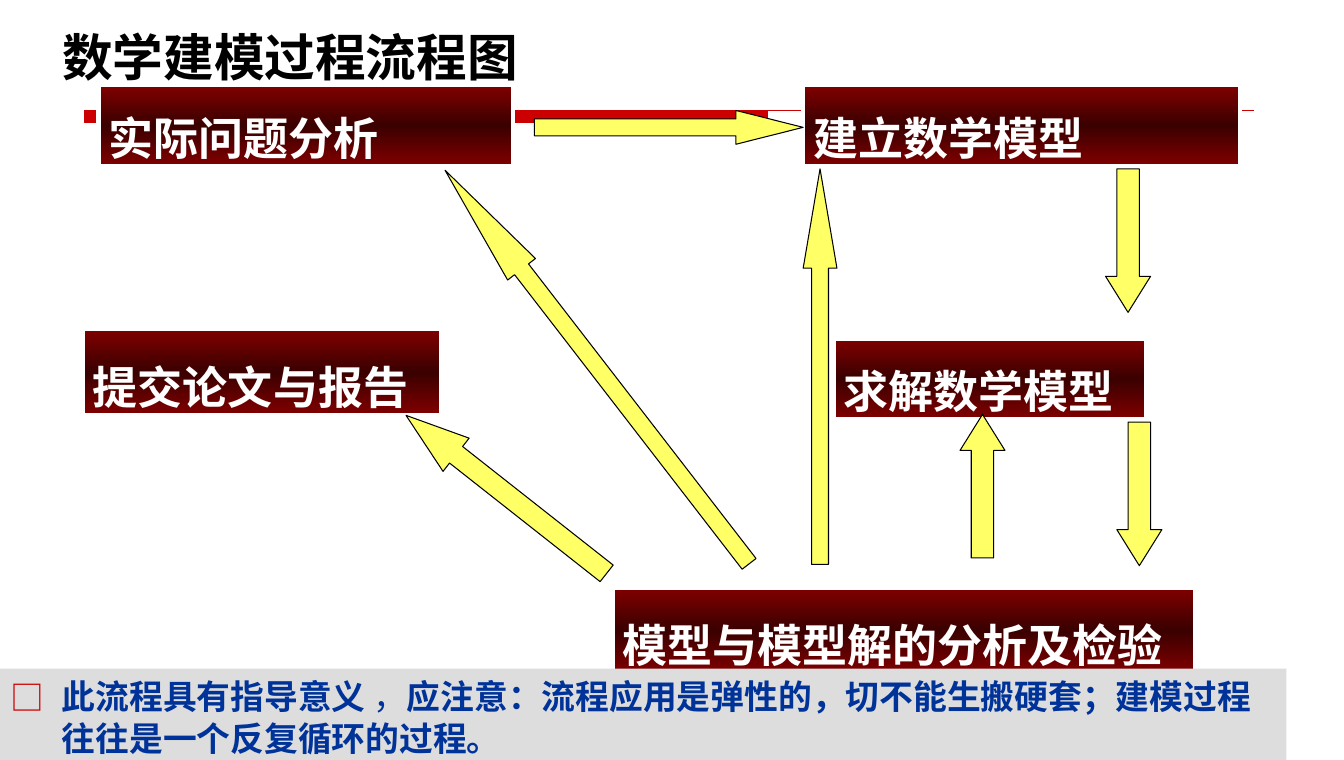
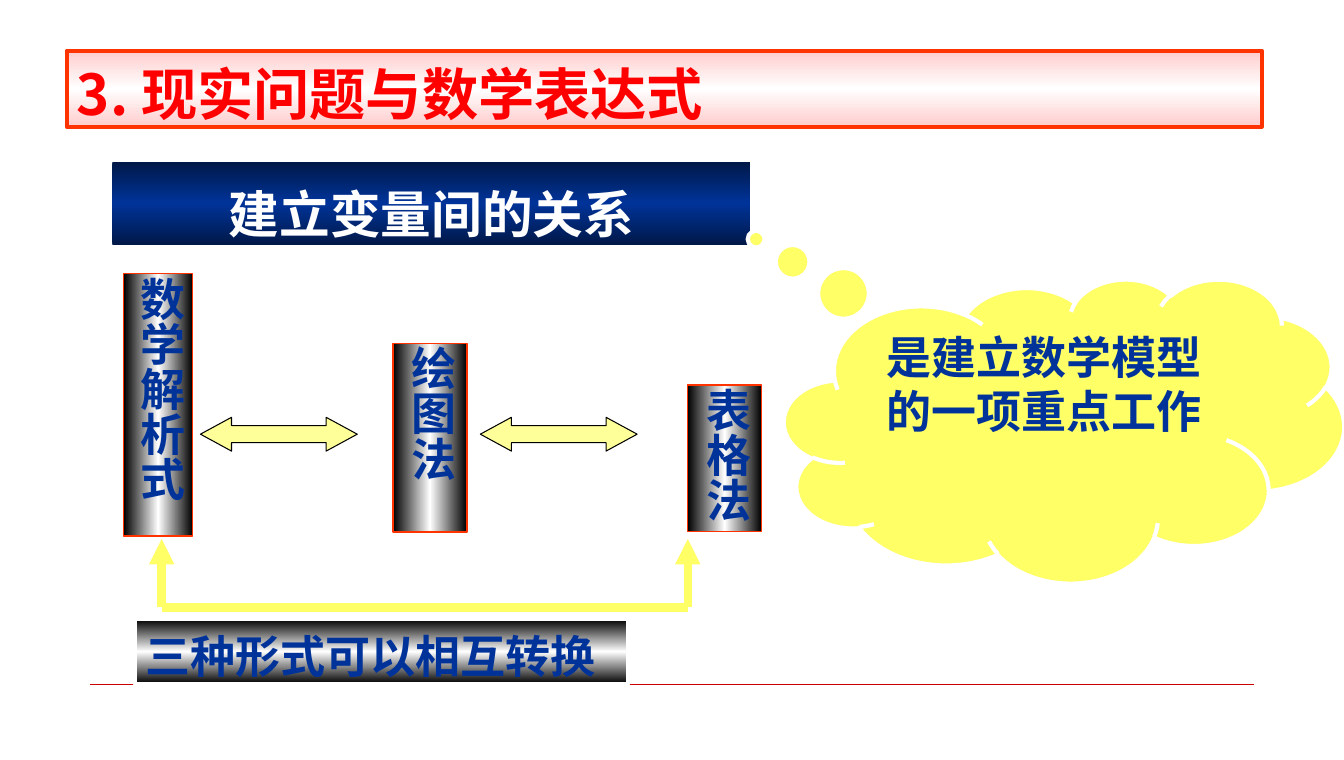
from dataclasses import dataclass
from typing import Optional

from lxml import etree
from pptx import Presentation
from pptx import util as u
from pptx.dml.color import RGBColor
from pptx.enum import shapes, text
from pptx.oxml.ns import qn

Pt = u.Pt
COLORS = {
    "rule": "CC0000", "white": "FFFFFF", "black": "000000",
    "maroon": "800000", "dark_maroon": "3B0000",
    "navy": "001847", "blue": "003399", "gray": "DDDDDD",
    "yellow": "FFFF66", "pale_yellow": "FFFF99",
    "pink": "FFCCCC", "orange": "FF3300", "red": "FF0000",
}
CJK_FONT = "Noto Sans CJK SC"
LATIN_FONT = "Times New Roman"
SHAPE = shapes.MSO_SHAPE
ALIGN = text.PP_ALIGN
ANCHOR = text.MSO_ANCHOR


@dataclass
class Panel:
    """A gradient rectangle with one line of text."""
    label: str
    left: float
    top: float
    width: float
    height: float
    edge: str
    middle: str
    ink: str
    line: Optional[str] = "white"
    line_width: float = 3
    size: float = 32
    align: ALIGN = ALIGN.LEFT
    vertical: bool = False


@dataclass
class Arrow:
    """A block arrow; head is the head length relative to its width."""
    kind: SHAPE
    left: float
    top: float
    width: float
    height: float
    head: float
    rotation: float = 0
    fill: str = "yellow"


def rgb(name: str) -> RGBColor:
    return RGBColor.from_string(COLORS[name])


def place(shape, left: float, top: float, width: float, height: float) -> None:
    shape.left, shape.top = Pt(left), Pt(top)
    shape.width, shape.height = Pt(width), Pt(height)


def set_line(shape, color: Optional[str], width: float = 0.75) -> None:
    if color is None:
        shape.line.fill.background()
    else:
        shape.line.color.rgb = rgb(color)
        shape.line.width = Pt(width)


def set_gradient(shape, edge: str, middle: str, angle: float) -> None:
    shape.fill.gradient()
    shape.fill.gradient_angle = angle
    stops = shape.element.spPr.find(".//" + qn("a:gsLst"))
    for stop in list(stops):
        stops.remove(stop)
    for position, color in ((0, edge), (50000, middle), (100000, edge)):
        stop = etree.SubElement(stops, qn("a:gs"), pos=str(position))
        etree.SubElement(stop, qn("a:srgbClr"), val=COLORS[color])


def set_font(paragraph, size: float, color: str, latin: str) -> None:
    font = paragraph.font
    font.name, font.size, font.bold = latin, Pt(size), True
    font.color.rgb = rgb(color)
    defaults = paragraph._p.pPr.find(qn("a:defRPr"))
    etree.SubElement(defaults, qn("a:ea"), typeface=CJK_FONT)


def set_frame(shape, anchor: ANCHOR, left: float = 7.2, top: float = 3.6,
              right: float = 7.2, bottom: float = 3.6):
    frame = shape.text_frame
    frame.word_wrap = True
    frame.auto_size = text.MSO_AUTO_SIZE.NONE
    frame.vertical_anchor = anchor
    frame.margin_left, frame.margin_right = Pt(left), Pt(right)
    frame.margin_top, frame.margin_bottom = Pt(top), Pt(bottom)
    return frame


def write(frame, words: str, size: float, color: str, align: ALIGN,
          latin: str = LATIN_FONT) -> None:
    frame.text = words
    paragraph = frame.paragraphs[0]
    paragraph.alignment = align
    set_font(paragraph, size, color, latin)


def add_block(slide, kind: SHAPE, left: float, top: float,
              width: float, height: float):
    shape = slide.shapes.add_shape(kind, Pt(left), Pt(top), Pt(width), Pt(height))
    shape.shadow.inherit = False
    return shape


def add_panel(slide, panel: Panel) -> None:
    shape = add_block(slide, SHAPE.RECTANGLE, panel.left, panel.top,
                      panel.width, panel.height)
    set_gradient(shape, panel.edge, panel.middle, 0 if panel.vertical else 270)
    set_line(shape, panel.line, panel.line_width)
    if panel.vertical:
        frame = set_frame(shape, ANCHOR.MIDDLE, left=4, top=2, right=0, bottom=2)
        frame._txBody.bodyPr.set("vert", "eaVert")
    else:
        frame = set_frame(shape, ANCHOR.BOTTOM, bottom=1)
    write(frame, panel.label, panel.size, panel.ink, panel.align)


def add_arrow(slide, arrow: Arrow) -> None:
    shape = add_block(slide, arrow.kind, arrow.left, arrow.top,
                      arrow.width, arrow.height)
    shape.adjustments[0], shape.adjustments[1] = 0.5, arrow.head
    shape.rotation = arrow.rotation
    shape.fill.solid()
    shape.fill.fore_color.rgb = rgb(arrow.fill)
    set_line(shape, "black")


def add_line(slide, start: tuple[float, float], end: tuple[float, float],
             color: str, width: float, arrowhead: bool = False):
    line = slide.shapes.add_connector(
        shapes.MSO_CONNECTOR.STRAIGHT, *(Pt(v) for v in start + end))
    set_line(line, color, width)
    if arrowhead:
        etree.SubElement(line.line._get_or_add_ln(), qn("a:tailEnd"), type="triangle")
    etree.SubElement(line.element.spPr, qn("a:effectLst"))
    return line


def set_title(slide, words: str, size: float, color: str,
              at: tuple[float, float, float, float], anchor: ANCHOR):
    title = slide.shapes.title
    place(title, *at)
    frame = set_frame(title, anchor, top=0, bottom=0)
    write(frame, words, size, color, ALIGN.LEFT, CJK_FONT)
    return title


def add_master_rules(prs, slide) -> None:
    """Draw the title band and the footer rule, then move them to the master."""
    left, right, top, bottom, band_end = 60, 891.5, 78.5, 87, 546
    outline = slide.shapes.build_freeform(Pt(left), Pt(top))
    outline.add_line_segments([(Pt(x), Pt(y)) for x, y in (
        (band_end, top), (band_end, bottom), (left, bottom))], close=True)
    outline.move_to(Pt(left), Pt(top))
    outline.add_line_segments([(Pt(right), Pt(top))], close=False)
    band = outline.convert_to_shape()
    band.shadow.inherit = False
    band.fill.solid()
    band.fill.fore_color.rgb = rgb("rule")
    set_line(band, "rule")
    footer = add_line(slide, (64, 486), (right, 486), "rule", 0.25)
    for position, part in enumerate((band, footer), start=2):
        prs.slide_master.shapes.element.insert(position, part.element)


def fill_note(slide) -> None:
    note = slide.placeholders[1]
    place(note, 0, 475, 914.5, 65)
    note.fill.solid()
    note.fill.fore_color.rgb = rgb("gray")
    paragraph = set_frame(note, ANCHOR.TOP).paragraphs[0]
    paragraph.space_before = Pt(0)
    paragraph.line_spacing = Pt(30)
    # Hollow square bullet with a hanging indent
    props = paragraph._p.get_or_add_pPr()
    hang = Pt(36.75)
    props.set("marL", str(hang))
    props.set("indent", str(-hang))
    bullet_color = etree.SubElement(props, qn("a:buClr"))
    etree.SubElement(bullet_color, qn("a:srgbClr"), val=COLORS["rule"])
    etree.SubElement(props, qn("a:buFont"), typeface=CJK_FONT)
    etree.SubElement(props, qn("a:buChar"), char="□")
    set_font(paragraph, 24, "blue", CJK_FONT)
    for words, bold in (
            ("此流程具有指导意义", True), (" ，", False),
            ("应注意：流程应用是弹性的，切不能生搬硬套；"
             "建模过程往往是一个反复循环的过程。", True)):
        run = paragraph.add_run()
        run.text = words
        run.font.bold = bold
    # The note lies over the lowest step
    slide.shapes.element.append(note.element)


def build_flowchart(slide) -> None:
    set_title(slide, "数学建模过程流程图", 36, "black", (37, 15, 376, 50),
              ANCHOR.MIDDLE)
    # Steps
    for label, *at in (
            ("求解数学模型", 592.5, 240.5, 222.5, 57.5),
            ("实际问题分析", 70, 60.5, 294.5, 57.5),
            ("建立数学模型", 571, 60.5, 310.5, 57.5),
            ("提交论文与报告", 59, 234, 255, 61),
            ("模型与模型解的分析及检验", 435.5, 417.5, 414.5, 61)):
        add_panel(slide, Panel(label, *at, "maroon", "dark_maroon", "white"))
    # Arrows between the steps
    for arrow in (
            Arrow(SHAPE.DOWN_ARROW, 786, 120, 32, 102, 0.8),
            Arrow(SHAPE.DOWN_ARROW, 794, 300, 32, 102, 0.8),
            Arrow(SHAPE.RIGHT_ARROW, 380, 78.5, 191, 24, 1.99),
            Arrow(SHAPE.UP_ARROW, 345, 260.5, 30, 181.5, 1.51, 308.2),
            Arrow(SHAPE.UP_ARROW, 682.5, 294.5, 32, 102, 0.8),
            Arrow(SHAPE.UP_ARROW, 412, 84, 25, 353.5, 3.56, 322.3),
            Arrow(SHAPE.UP_ARROW, 571, 120, 24, 281, 2.94)):
        add_arrow(slide, arrow)
    fill_note(slide)


def build_relations(slide) -> None:
    title = set_title(slide, "3. 现实问题与数学表达式", 40, "red",
                      (47.5, 36, 849.5, 54), ANCHOR.BOTTOM)
    set_gradient(title, "pink", "white", 270)
    set_line(title, "orange", 3)
    # Three ways to express a relation
    for label, *at in (
            ("绘图法", 279.5, 244, 52.5, 134),
            ("表格法", 489, 273.5, 52.5, 104),
            ("数学解析式", 88, 194.5, 49, 186.5)):
        add_panel(slide, Panel(label, *at, "black", "white", "blue", "orange", 1,
                               align=ALIGN.CENTER, vertical=True))
    add_panel(slide, Panel("建立变量间的关系", 80, 115, 453.5, 59, "navy", "blue",
                           "white", None, size=36, align=ALIGN.CENTER))
    for left in (142.5, 341.5):
        add_arrow(slide, Arrow(SHAPE.LEFT_RIGHT_ARROW, left, 296.5, 111.5, 24,
                               0.92, fill="pale_yellow"))
    # Bracket joining the first and last form
    first, last, base, tip = 115, 489, 431.5, 383
    add_line(slide, (first, base), (last, base), "yellow", 6)
    for x in (first, last):
        add_line(slide, (x, base), (x, tip), "yellow", 6, arrowhead=True)
    # Remark
    cloud = add_block(slide, SHAPE.CLOUD_CALLOUT, 557.5, 198, 398, 216)
    cloud.adjustments[0], cloud.adjustments[1] = -0.55, -0.63
    cloud.fill.solid()
    cloud.fill.fore_color.rgb = rgb("yellow")
    set_line(cloud, "white", 3)
    write(set_frame(cloud, ANCHOR.TOP), "是建立数学模型的一项重点工作", 32, "blue",
          ALIGN.CENTER)
    add_panel(slide, Panel("三种形式可以相互转换", 96, 440, 350.5, 46,
                           "black", "white", "blue"))


def main() -> None:
    prs = Presentation()
    prs.slide_width, prs.slide_height = Pt(955.5), Pt(540)
    flowchart = prs.slides.add_slide(prs.slide_layouts[1])
    add_master_rules(prs, flowchart)
    build_flowchart(flowchart)
    build_relations(prs.slides.add_slide(prs.slide_layouts[5]))
    prs.save("out.pptx")


if __name__ == "__main__":
    main()
